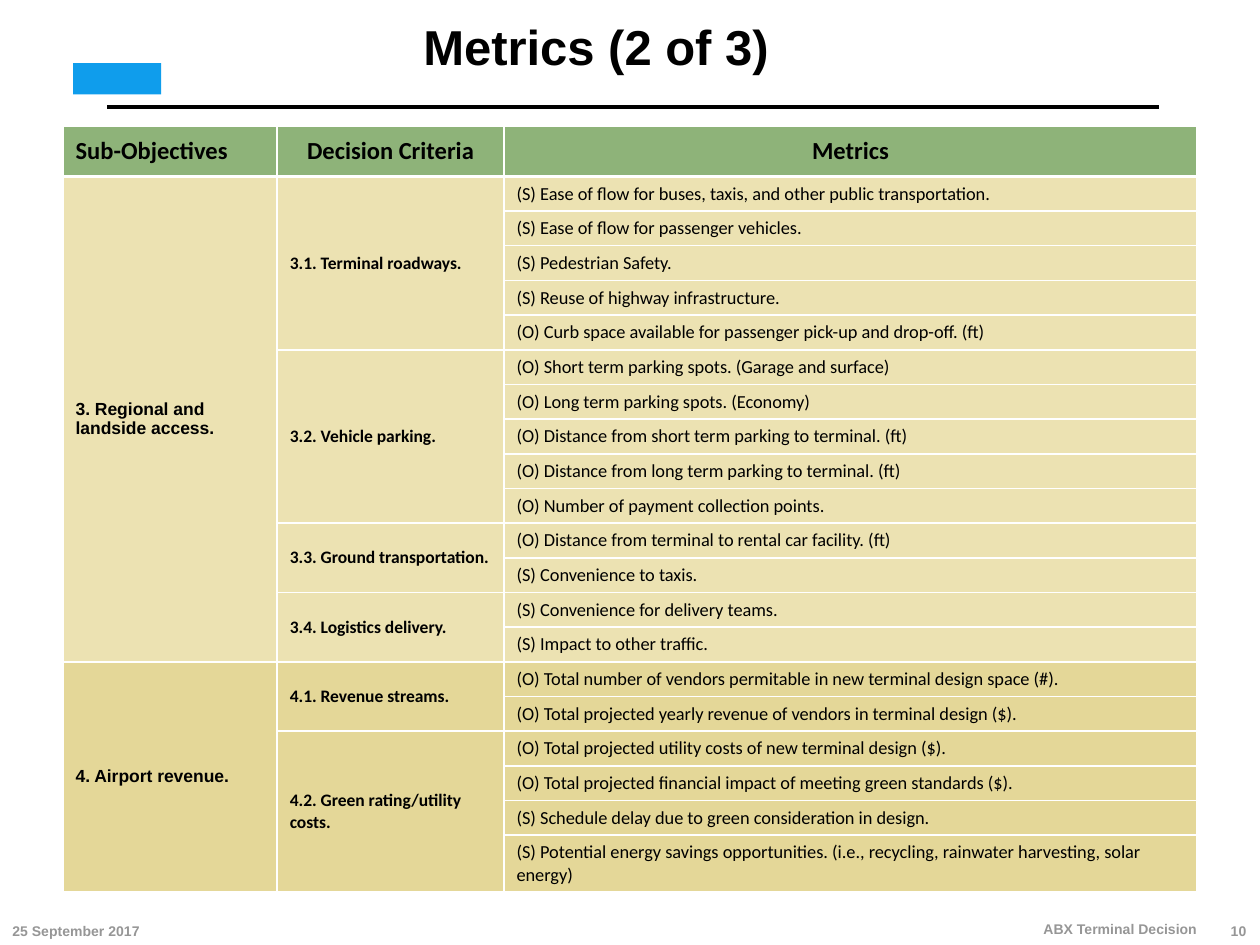
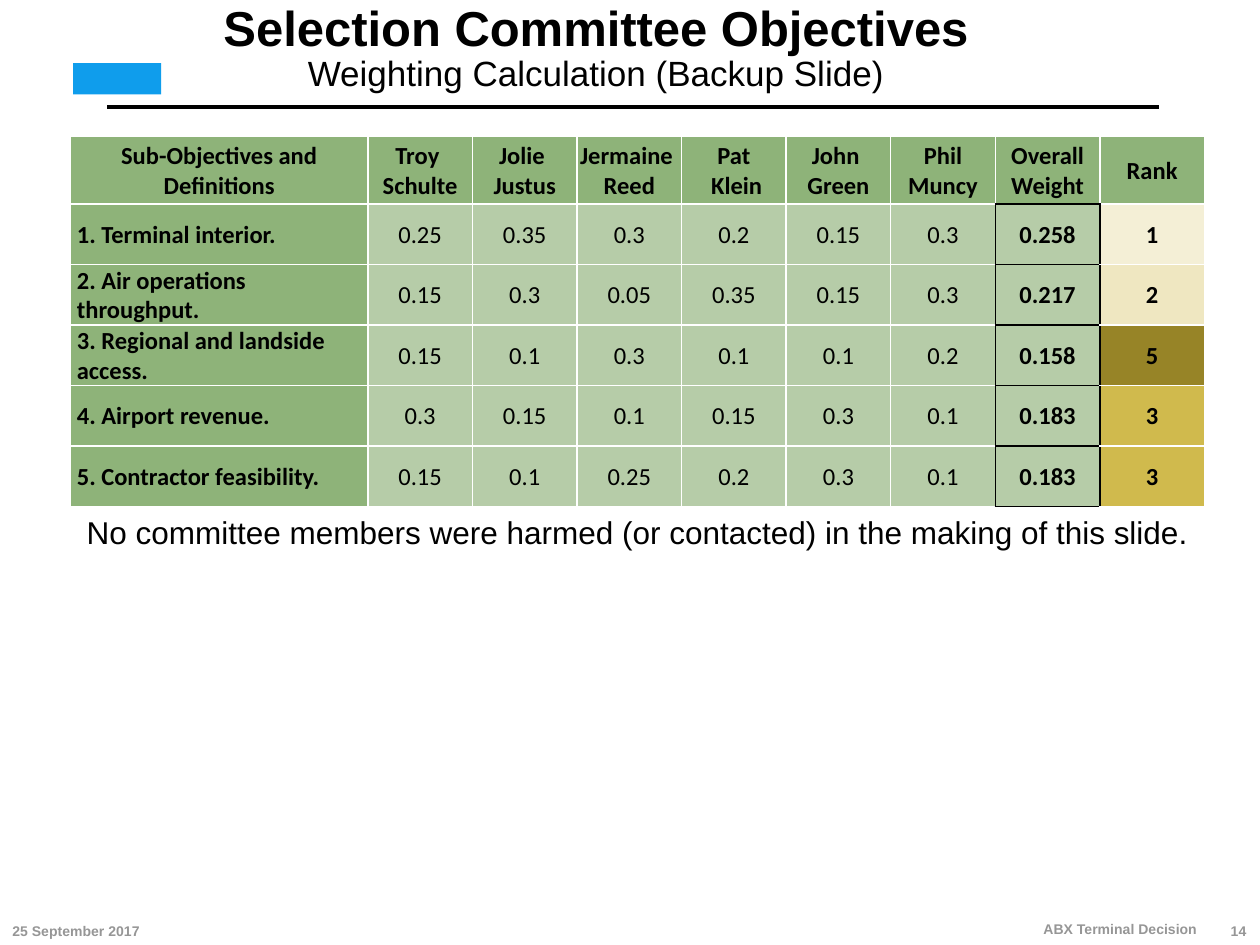
from lxml import etree
from pptx import Presentation, util as u
from pptx.dml.color import RGBColor
from pptx.enum import shapes, text
from pptx.oxml.ns import qn

PX = 9144  # 100 px to the inch
BLACK = RGBColor(0x00, 0x00, 0x00)
WHITE = RGBColor(0xFF, 0xFF, 0xFF)
GREY = RGBColor(0x96, 0x96, 0x96)
BLUE = RGBColor(0x0F, 0x9D, 0xEC)
GREEN = RGBColor(0x8E, 0xB3, 0x79)
SAGE = RGBColor(0xB6, 0xCC, 0xA8)
SAND = RGBColor(0xEC, 0xE2, 0xB2)
STRAW = RGBColor(0xE4, 0xD7, 0x98)
RANKS = {
    1: RGBColor(0xF4, 0xEF, 0xD6),
    2: RGBColor(0xEF, 0xE7, 0xC1),
    3: RGBColor(0xD0, 0xBA, 0x4D),
    5: RGBColor(0x97, 0x84, 0x27),
}

LEFT, MID, RIGHT = text.PP_ALIGN.LEFT, text.PP_ALIGN.CENTER, text.PP_ALIGN.RIGHT
TITLE = dict(name="Arial", size=u.Pt(28), bold=True)
SUB = dict(name="Arial", size=u.Pt(20), bold=False)
FOOT = dict(name="Arial", size=u.Pt(8), bold=True)
NOTE = dict(name="Arial", size=u.Pt(18), bold=False)
HEAD = dict(name="Calibri", size=u.Pt(14), bold=True)
VALUE = dict(HEAD, bold=False)
GOAL = dict(name="Arial", size=u.Pt(10), bold=True)
RULE = dict(GOAL, name="Calibri")
ITEM = dict(name="Calibri", size=u.Pt(10.5), bold=False)

GOALS = [
    ("3. Regional and landside access.", SAND, [
        ("3.1. Terminal roadways.", [
            "(S) Ease of flow for buses, taxis, and other public transportation.",
            "(S) Ease of flow for passenger vehicles.",
            "(S) Pedestrian Safety.",
            "(S) Reuse of highway infrastructure.",
            "(O) Curb space available for passenger pick-up and drop-off. (ft)"]),
        ("3.2. Vehicle parking.", [
            "(O) Short term parking spots. (Garage and surface)",
            "(O) Long term parking spots. (Economy)",
            "(O) Distance from short term parking to terminal. (ft)",
            "(O) Distance from long term parking to terminal. (ft)",
            "(O) Number of payment collection points."]),
        ("3.3. Ground transportation.", [
            "(O) Distance from terminal to rental car facility. (ft)",
            "(S) Convenience to taxis."]),
        ("3.4. Logistics delivery.", [
            "(S) Convenience for delivery teams.",
            "(S) Impact to other traffic."]),
    ]),
    ("4. Airport revenue.", STRAW, [
        ("4.1. Revenue streams.", [
            "(O) Total number of vendors permitable in new terminal design space (#).",
            "(O) Total projected yearly revenue of vendors in terminal design ($)."]),
        ("4.2. Green rating/utility costs.", [
            "(O) Total projected utility costs of new terminal design ($).",
            "(O) Total projected financial impact of meeting green standards ($).",
            "(S) Schedule delay due to green consideration in design.",
            "(S) Potential energy savings opportunities. (i.e., recycling, "
            "rainwater harvesting, solar energy)"]),
    ]),
]

WEIGHTS = [
    ["Sub-Objectives and Definitions", "Troy \nSchulte", "Jolie \nJustus",
     "Jermaine \nReed", "Pat\n Klein", "John \nGreen", "Phil Muncy",
     "Overall Weight", "Rank"],
    ["1. Terminal interior.", 0.25, 0.35, 0.3, 0.2, 0.15, 0.3, 0.258, 1],
    ["2. Air operations throughput.", 0.15, 0.3, 0.05, 0.35, 0.15, 0.3, 0.217, 2],
    ["3. Regional and landside access.", 0.15, 0.1, 0.3, 0.1, 0.1, 0.2, 0.158, 5],
    ["4. Airport revenue.", 0.3, 0.15, 0.1, 0.15, 0.3, 0.1, 0.183, 3],
    ["5. Contractor feasibility.", 0.15, 0.1, 0.25, 0.2, 0.3, 0.1, 0.183, 3],
]


def box(*px):
    return [n * PX for n in px]


def style(item, form):
    for key, val in form.items():
        setattr(item, key, val)


def ink(run, form, color=BLACK):
    style(run.font, form)
    run.font.color.rgb = color


def write(frame, words, form, align=LEFT, color=BLACK):
    frame.text = words
    for para in frame.paragraphs:
        para.alignment = align
        for run in para.runs:
            ink(run, form, color)


def add_line(slide, ends, color, width):
    line = slide.shapes.add_connector(shapes.MSO_CONNECTOR.STRAIGHT, *box(*ends))
    line.line.color.rgb = color
    line.line.width = u.Pt(width)
    etree.SubElement(line._element.spPr, qn("a:effectLst"))


def add_text(slide, place, words, form, align=LEFT, color=BLACK, **frame):
    area = slide.shapes.add_textbox(*box(*place)).text_frame
    style(area, dict(dict(word_wrap=True), **frame))
    write(area, words, form, align, color)


def add_title(slide, head, sub=None):
    title = slide.shapes.title
    style(title, dict(zip(("left", "top", "width", "height"), box(73, 0, 800, 78))))
    area = title.text_frame
    style(area, dict(margin_left=0, margin_top=0, margin_right=0, margin_bottom=0,
                     vertical_anchor=text.MSO_ANCHOR.MIDDLE,
                     auto_size=text.MSO_AUTO_SIZE.NONE))
    write(area, head, TITLE, MID)
    para = area.paragraphs[0]
    para.line_spacing = 0.9
    if sub:
        para.add_line_break()
        run = para.add_run()
        run.text = sub
        ink(run, SUB)


def add_page(deck, number, head, sub=None):
    """Add a slide with the title, rule, badge and footers that all slides share."""
    slide = deck.slides.add_slide(deck.slide_layouts[5])
    add_line(slide, (85, 85, 920, 85), BLACK, 2.5)
    badge = slide.shapes.add_shape(shapes.MSO_SHAPE.RECTANGLE, *box(58, 50, 70, 25))
    badge.shadow.inherit = False
    badge.fill.solid()
    badge.fill.fore_color.rgb = BLUE
    badge.line.fill.background()
    add_title(slide, head, sub)
    feet = [((0, 725, 200, 25), "25 September 2017", LEFT),
            ((959, 725, 40, 25), str(number), RIGHT),
            ((660, 724, 300, 25), "ABX Terminal Decision", RIGHT)]
    for place, words, align in feet:
        add_text(slide, place, words, FOOT, align, GREY,
                 vertical_anchor=text.MSO_ANCHOR.BOTTOM)
    return slide


def add_grid(slide, left, top, cols, rows):
    grid = slide.shapes.add_table(
        len(rows), len(cols), *box(left, top, sum(cols), sum(rows))).table
    style(grid, dict(first_row=False, horz_banding=False))
    for col, width in zip(grid.columns, cols):
        col.width = width * PX
    for row, height in zip(grid.rows, rows):
        row.height = height * PX
    return grid


def edge(cell, **sides):
    """Draw all four borders: white 1 pt, unless a side (L, R, T, B) is given."""
    props = cell._tc.get_or_add_tcPr()
    for side in "LRTB":
        color, width = sides.get(side, (WHITE, 1))
        line = etree.SubElement(props, qn("a:ln" + side), w=str(u.Pt(width)))
        fill = etree.SubElement(line, qn("a:solidFill"))
        etree.SubElement(fill, qn("a:srgbClr"), val=str(color))


def paint(cell, color):
    cell.fill.solid()
    cell.fill.fore_color.rgb = color
    cell.vertical_anchor = text.MSO_ANCHOR.MIDDLE


def span(grid, row, col, count, words, form):
    cell = grid.cell(row, col)
    cell.merge(grid.cell(row + count - 1, col))
    write(cell.text_frame, words, form)


def fill_goals(grid):
    thick = (WHITE, 2.25)
    heads = [("Sub-Objectives", LEFT), ("Decision Criteria", MID), ("Metrics", MID)]
    for col, (words, align) in enumerate(heads):
        cell = grid.cell(0, col)
        edge(cell, B=thick)
        paint(cell, GREEN)
        write(cell.text_frame, words, HEAD, align)
    row = 1
    for goal, color, rules in GOALS:
        start = row
        for rule, items in rules:
            span(grid, row, 1, len(items), rule, RULE)
            for item in items:
                for col in range(3):
                    cell = grid.cell(row, col)
                    edge(cell, **({"T": thick} if row == 1 else {}))
                    paint(cell, color)
                write(grid.cell(row, 2).text_frame, item, ITEM)
                row += 1
        span(grid, start, 0, row - start, goal, GOAL)


def fill_weights(grid):
    total, rank = 7, 8
    dark = (BLACK, 1)
    framed = {total - 1: "R", total: "LRTB", rank: "L"}
    for r, line in enumerate(WEIGHTS):
        for c, value in enumerate(line):
            cell = grid.cell(r, c)
            label = r > 0 and c == 0
            side = PX * (5 if label else 1)
            style(cell, dict(margin_left=side, margin_right=side,
                             margin_top=PX, margin_bottom=0))
            sides = framed.get(c, "") if r else "B" * (c == total)
            edge(cell, **dict.fromkeys(sides, dark))
            if r == 0 or c == 0:
                paint(cell, GREEN)
            else:
                paint(cell, RANKS[value] if c == rank else SAGE)
            plain = r > 0 and 0 < c < total
            write(cell.text_frame, str(value), VALUE if plain else HEAD,
                  LEFT if label else MID)


def main():
    deck = Presentation()
    style(deck, dict(slide_width=1000 * PX, slide_height=750 * PX))

    slide = add_page(deck, 10, "Metrics (2 of 3)")
    fill_goals(add_grid(slide, 50, 100, [170, 180, 550], [40] + [27] * 19 + [44]))

    slide = add_page(deck, 14, "Selection Committee Objectives",
                     "Weighting Calculation (Backup Slide)")
    fill_weights(add_grid(slide, 56, 108, [236] + [83] * 8, [54] + [48] * 5))
    add_text(slide, (59, 402, 894, 40),
             "No committee members were harmed (or contacted) in the making of this slide.",
             NOTE, word_wrap=False)
    deck.save("out.pptx")


if __name__ == "__main__":
    main()
